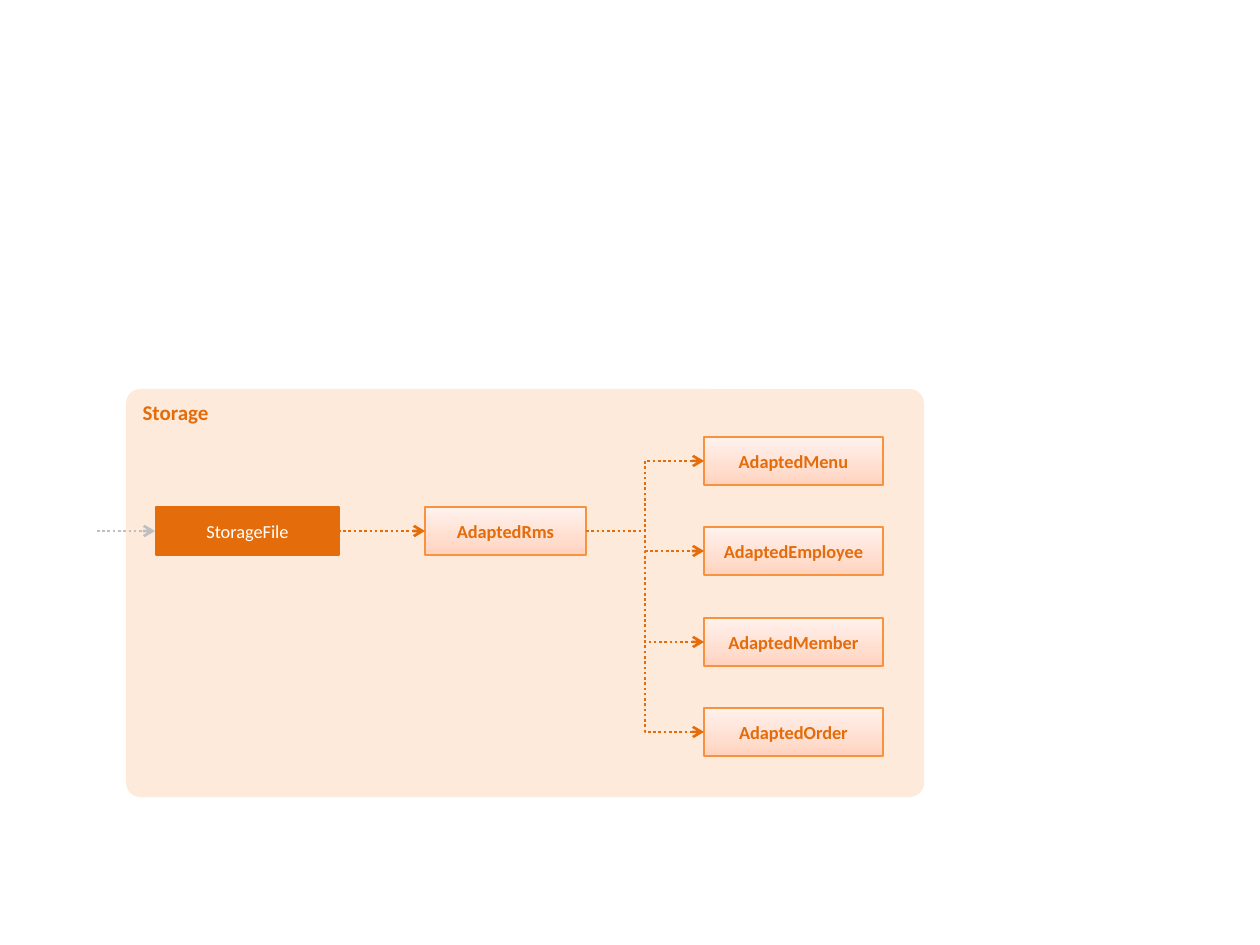
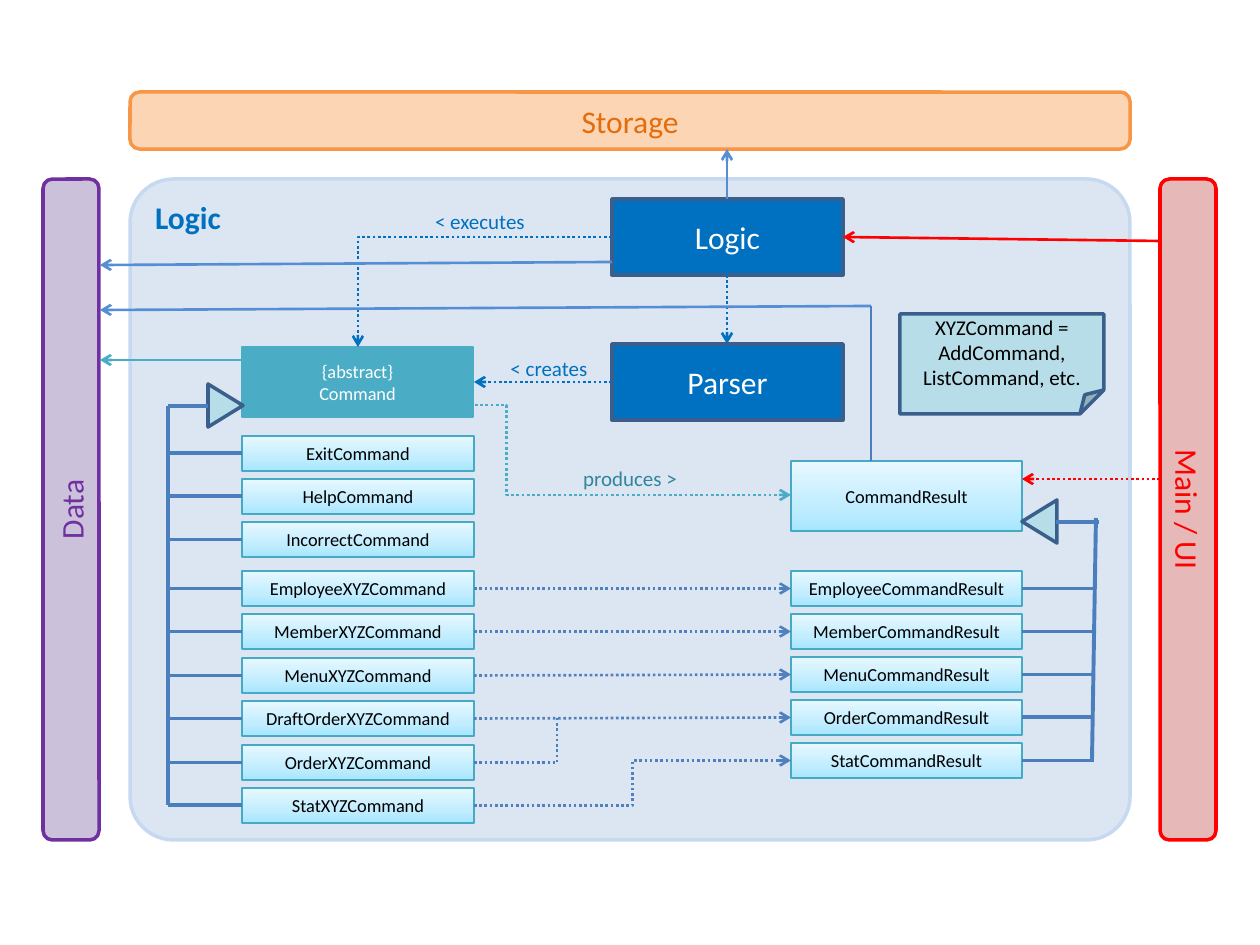
"""Build two architecture diagrams: the storage and the logic component."""
from lxml import etree
from pptx import Presentation
from pptx.dml.color import RGBColor
from pptx.enum.dml import MSO_LINE
from pptx.enum.shapes import MSO_CONNECTOR, MSO_SHAPE
from pptx.enum.text import MSO_ANCHOR, PP_ALIGN
from pptx.oxml.ns import qn
from pptx.util import Emu, Pt

RECTANGLE, ROUNDED = MSO_SHAPE.RECTANGLE, MSO_SHAPE.ROUNDED_RECTANGLE
TRIANGLE, FOLDED = MSO_SHAPE.ISOSCELES_TRIANGLE, MSO_SHAPE.FOLDED_CORNER
STRAIGHT, ELBOW = MSO_CONNECTOR.STRAIGHT, MSO_CONNECTOR.ELBOW
DOTTED = MSO_LINE.ROUND_DOT
CENTER, LEFT = PP_ALIGN.CENTER, PP_ALIGN.LEFT
MIDDLE, TOP = MSO_ANCHOR.MIDDLE, MSO_ANCHOR.TOP

EMU_PER_PIXEL = 914400 / 126
FONT = "Calibri"
WHITE, BLACK, GRAY, RED = "FFFFFF", "000000", "BFBFBF", "FF0000"
ORANGE, ORANGE_EDGE = "E46C0A", "F69240"
BLUE, NAVY, SKY, SPINE = "0070C0", "3A5F8C", "558ED5", "4B7EBC"
STEEL, TEAL, TEAL_EDGE, PALE_TEAL = "4F81BD", "4BACC6", "46AAC5", "B7DEE8"
PURPLE = "7030A0"
PEACH_GRADIENT = ((0, "FFD2BD"), (35, "FFDED0"), (100, "FFF2ED"))
AQUA_GRADIENT = ((0, "A7E6FF"), (35, "C1EDFF"), (100, "E7F8FF"))


def pixels(length):
    """Turn a length in pixels into EMU."""
    return Emu(round(length * EMU_PER_PIXEL))


def color(value):
    """Turn a hex string into a colour."""
    return RGBColor.from_string(value)


def write_text(shape, text, size, ink, bold=False, align=CENTER, anchor=MIDDLE):
    """Write one paragraph, with a line break at each newline."""
    frame = shape.text_frame
    frame.word_wrap = True
    frame.vertical_anchor = anchor
    paragraph = frame.paragraphs[0]
    paragraph.alignment = align
    for index, line in enumerate(text.split("\n")):
        if index:
            paragraph.add_line_break()
        run = paragraph.add_run()
        run.text = line
        run.font.name = FONT
        run.font.size = Pt(size)
        run.font.bold = bold
        run.font.color.rgb = color(ink)


def set_guide(shape, name, share):
    """Set one adjustment guide of a preset outline."""
    guides = shape._element.spPr.find(qn("a:prstGeom")).find(qn("a:avLst"))
    for guide in list(guides):
        guides.remove(guide)
    etree.SubElement(guides, qn("a:gd"), name=name, fmla=f"val {round(share * 100000)}")


def fill_gradient(shape, stops):
    """Fill a shape with colour stops that run from bottom to top."""
    shape.fill.gradient()
    shape.fill.gradient_angle = 90
    stop_list = shape._element.spPr.find(qn("a:gradFill")).find(qn("a:gsLst"))
    for stop in list(stop_list):
        stop_list.remove(stop)
    for percent, value in stops:
        stop = etree.SubElement(stop_list, qn("a:gs"), pos=str(percent * 1000))
        etree.SubElement(stop, qn("a:srgbClr"), val=value)


def add_block(slide, box, fill, edge=None, width=1.5, kind=RECTANGLE,
              rotation=0, adjustment=None):
    """Add a filled shape whose box is the area that it covers once rotated."""
    left, top, across, down = box
    if rotation:
        left, top = left + (across - down) / 2, top + (down - across) / 2
        across, down = down, across
    shape = slide.shapes.add_shape(kind, *map(pixels, (left, top, across, down)))
    shape.shadow.inherit = False
    shape.rotation = rotation
    if adjustment is not None:
        set_guide(shape, "adj", adjustment)
    if isinstance(fill, str):
        shape.fill.solid()
        shape.fill.fore_color.rgb = color(fill)
    else:
        fill_gradient(shape, fill)
    if edge:
        shape.line.color.rgb = color(edge)
        shape.line.width = Pt(width)
    else:
        shape.line.fill.background()
    return shape


def add_adapted(slide, box, text):
    """Add a peach class box with bold orange text."""
    write_text(add_block(slide, box, PEACH_GRADIENT, ORANGE_EDGE), text, 10.5, ORANGE, True)


def add_class(slide, box, text):
    """Add an aqua class box."""
    write_text(add_block(slide, box, AQUA_GRADIENT, TEAL_EDGE), text, 10.5, BLACK)


def add_component(slide, box, text):
    """Add a large blue component box."""
    write_text(add_block(slide, box, BLUE, NAVY, 2), text, 18, WHITE)


def add_bar(slide, box, text, fill, edge, ink, rotation=0):
    """Add a rounded bar for a neighbouring component."""
    bar = add_block(slide, box, fill, edge, 2, ROUNDED, rotation)
    write_text(bar, text, 18, ink)


def add_label(slide, left, top, text, ink):
    """Add a caption next to an arrow."""
    label = slide.shapes.add_textbox(*map(pixels, (left, top, 126, 38)))
    write_text(label, text, 12, ink, anchor=TOP)


def add_line(slide, start, end, ink, width=1.5, dotted=False, arrow=False, kind=STRAIGHT):
    """Add a connector from start to end."""
    connector = slide.shapes.add_connector(kind, *map(pixels, (*start, *end)))
    connector.line.color.rgb = color(ink)
    connector.line.width = Pt(width)
    if dotted:
        connector.line.dash_style = DOTTED
    properties = connector._element.spPr
    if arrow:
        etree.SubElement(properties.find(qn("a:ln")), qn("a:tailEnd"), type="arrow")
    etree.SubElement(properties, qn("a:effectLst"))
    return connector


def add_arrow(slide, start, end, ink, dotted=True, kind=STRAIGHT):
    """Add a connector with an arrowhead at its end."""
    return add_line(slide, start, end, ink, dotted=dotted, arrow=True, kind=kind)


def add_spine(slide, start, end):
    """Add one thick line of an inheritance tree."""
    add_line(slide, start, end, SPINE, 2.25)


def build_storage(slide):
    """Draw the storage component."""
    panel = add_block(slide, (126, 389, 798, 408), "FDEADA", kind=ROUNDED, adjustment=0.035)
    write_text(panel, "Storage", 12, ORANGE, True, LEFT, TOP)
    row_top, height = 507, 48
    axis = row_top + height / 2
    storage_file = add_block(slide, (156, row_top, 183, height), ORANGE, ORANGE)
    write_text(storage_file, "StorageFile", 10.5, WHITE)
    add_arrow(slide, (97, axis), (155, axis), GRAY)
    add_adapted(slide, (425, row_top, 161, height), "AdaptedRms")
    add_arrow(slide, (338, axis), (425, axis), ORANGE)
    names = ("AdaptedMenu", "AdaptedEmployee", "AdaptedMember", "AdaptedOrder")
    for index, name in enumerate(names):
        top = round(437 + 90.4 * index)
        add_adapted(slide, (704, top, 179, height), name)
        add_arrow(slide, (586, axis), (704, top + height / 2), ORANGE, kind=ELBOW)


def build_commands(slide):
    """Draw the command classes with their inheritance tree and return their axes."""
    left, right, height, spine = 242, 474, 35, 168
    groups = (
        (436, 43, ("ExitCommand", "HelpCommand", "IncorrectCommand")),
        (571, 43.4, ("EmployeeXYZCommand", "MemberXYZCommand", "MenuXYZCommand",
                     "DraftOrderXYZCommand", "OrderXYZCommand", "StatXYZCommand")),
    )
    axes = {}
    for first, pitch, names in groups:
        for index, name in enumerate(names):
            top = round(first + pitch * index)
            axes[name] = top + height / 2
            add_class(slide, (left, top, right - left, height), name)
            add_spine(slide, (left, axes[name]), (spine, axes[name]))
    add_spine(slide, (spine, 406), (spine, axes["StatXYZCommand"]))
    add_block(slide, (208, 384, 35, 43), PALE_TEAL, NAVY, 2, TRIANGLE, 90)
    add_spine(slide, (spine, 406), (208, 406))
    return axes


def build_results(slide):
    """Draw the result classes with their inheritance tree and return their axes."""
    left, right, height, spine = 791, 1022, 35, 1094
    axes = {}
    for index, topic in enumerate(("Employee", "Member", "Menu", "Order", "Stat")):
        top = 571 + 43 * index
        axes[topic] = top + height / 2
        add_class(slide, (left, top, right - left, height), topic + "CommandResult")
        add_spine(slide, (spine, axes[topic]), (right, axes[topic]))
    add_block(slide, (right, 500, 35, 43), PALE_TEAL, NAVY, 2, TRIANGLE, 270)
    add_spine(slide, (1092, axes["Stat"]), (1096, 518))
    add_spine(slide, (1099, 522), (1056, 522))
    return axes


def link_results(slide, commands, results):
    """Join each command to the result that it gives."""
    start, end, merge = 474, 791, 557
    pairs = (("Employee", "Employee"), ("Member", "Member"), ("Menu", "Menu"),
             ("DraftOrder", "Order"))
    for command, result in pairs:
        add_arrow(slide, (start, commands[command + "XYZCommand"]), (end, results[result]), STEEL)
    add_arrow(slide, (start, commands["StatXYZCommand"]), (end, results["Stat"]),
              STEEL, kind=ELBOW)
    order = commands["OrderXYZCommand"]
    add_line(slide, (start, order), (merge, order), SPINE, dotted=True)
    add_line(slide, (merge, order), (merge, results["Order"]), SPINE, dotted=True)


def build_logic(slide):
    """Draw the logic component and its neighbours."""
    panel = add_block(slide, (130, 179, 1000, 661), "DCE6F2", "C6D9F1", 2, ROUNDED,
                      adjustment=0.066)
    write_text(panel, "Logic", 18, BLUE, True, LEFT, TOP)
    add_component(slide, (612, 199, 231, 76), "Logic")
    add_component(slide, (612, 344, 231, 76), "Parser")
    command = add_block(slide, (242, 347, 231, 70), TEAL, TEAL)
    write_text(command, "{abstract}\nCommand", 10.5, WHITE)
    add_class(slide, (791, 461, 231, 70), "CommandResult")
    link_results(slide, build_commands(slide), build_results(slide))

    add_bar(slide, (43, 179, 56, 661), "Data", "CCC1DA", PURPLE, PURPLE, 270)
    add_bar(slide, (1160, 179, 56, 661), "Main / UI", "E6B9B8", RED, RED, 90)
    add_bar(slide, (130, 92, 1000, 57), "Storage", "FCD5B5", "F79646", ORANGE)

    add_arrow(slide, (242, 360), (100, 360), TEAL, False)
    produces = add_arrow(slide, (475, 405), (791, 495), TEAL, kind=ELBOW)
    set_guide(produces, "adj1", 0.1)
    add_arrow(slide, (612, 382), (474, 382), BLUE)
    executes = add_arrow(slide, (612, 237), (358, 347), BLUE, kind=ELBOW)
    executes._element.spPr.find(qn("a:prstGeom")).set("prst", "bentConnector2")
    add_arrow(slide, (727, 275), (727, 344), BLUE)
    add_arrow(slide, (871, 306), (100, 310), SKY, False)
    add_line(slide, (871, 306), (871, 461), SPINE)
    add_arrow(slide, (1160, 241), (843, 237), RED, False)
    add_arrow(slide, (1160, 479), (1022, 479), RED)
    add_arrow(slide, (612, 262), (100, 265), SKY, False)
    add_arrow(slide, (727, 199), (727, 149), SKY, False)

    note = add_block(slide, (900, 314, 204, 100), PALE_TEAL, NAVY, 2, FOLDED, adjustment=0.24)
    write_text(note, "XYZCommand = AddCommand, ListCommand, etc.", 12, BLACK)
    add_label(slide, 486, 349, "< creates", BLUE)
    add_label(slide, 567, 459, "produces >", "31859C")
    add_label(slide, 417, 202, "< executes", BLUE)


def main():
    """Build and save the presentation."""
    presentation = Presentation()
    presentation.slide_width = pixels(1260)
    presentation.slide_height = pixels(945)
    blank = presentation.slide_layouts[6]
    for build in (build_storage, build_logic):
        build(presentation.slides.add_slide(blank))
    presentation.save("out.pptx")


main()
